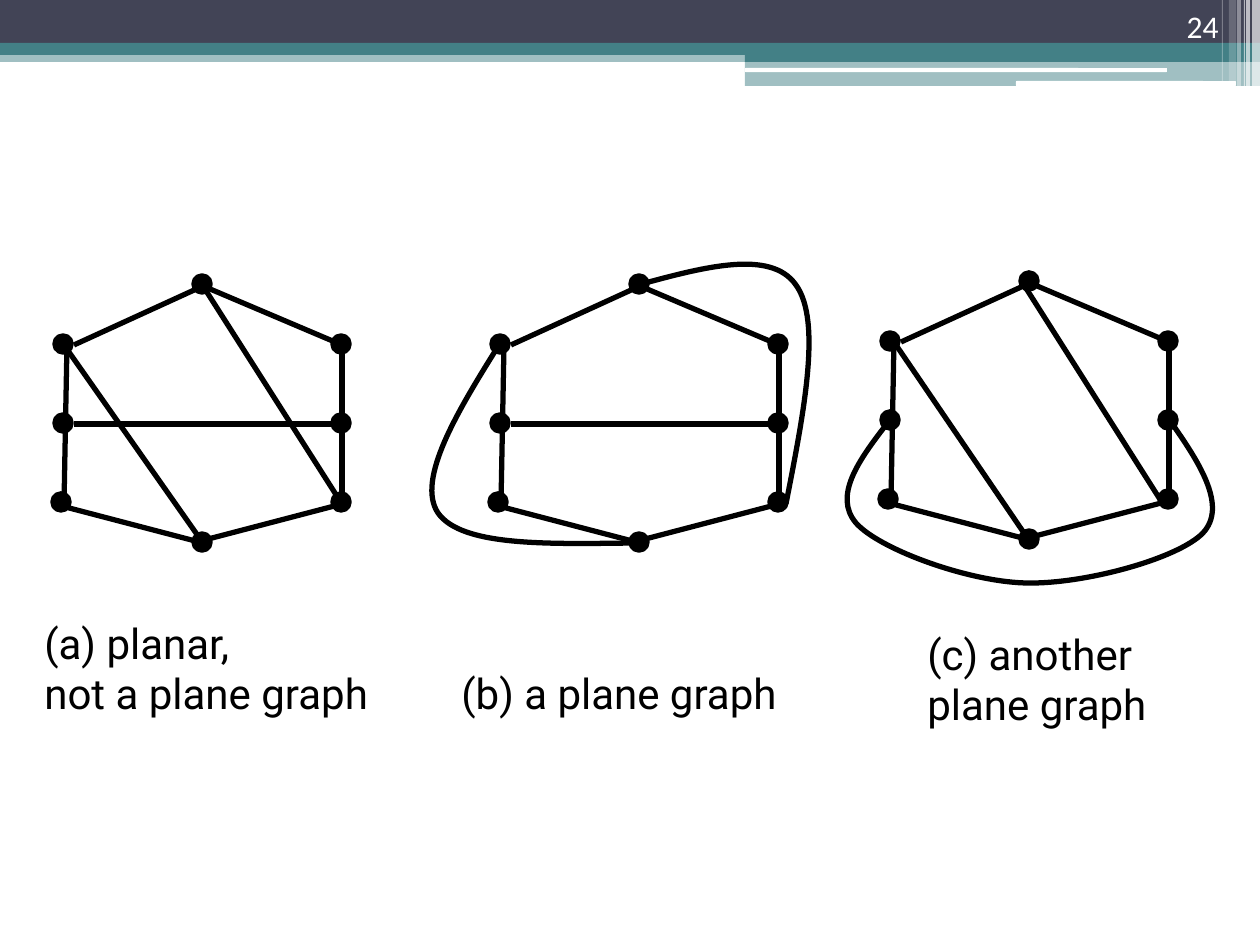
from lxml.etree import SubElement
from pptx import Presentation
from pptx.dml.color import RGBColor
from pptx.enum.shapes import MSO_CONNECTOR, MSO_SHAPE
from pptx.enum.text import MSO_ANCHOR, MSO_AUTO_SIZE, PP_ALIGN
from pptx.oxml.ns import qn
from pptx.util import Pt

PX = 914400 / 126
BLACK, WHITE, TEAL, NAVY = "000000", "FFFFFF", "438086", "424456"

BANDS = [
    (0, 50, 1260, 12, TEAL, 50),
    (0, 0, 1260, 43, NAVY, 100),
    (0, 43, 1260, 12, TEAL, 100),
    (745, 49, 515, 13, TEAL, 100),
    (745, 61, 515, 25, TEAL, 50),
]
RULES = [
    (745, 68, 422, 4, WHITE, 100),
    (1016, 81, 220, 5, WHITE, 100),
]
STRIPES = [
    (1252, 0, 8, 86, WHITE, 65),
    (1246, 0, 4, 86, WHITE, 65),
    (1244, 0, 1, 86, WHITE, 60),
    (1237, 0, 4, 86, WHITE, 40),
    (1229, 0, 7, 81, WHITE, 20),
    (1222, 0, 1, 81, WHITE, 30),
]

DOT = 18
DOTS = [(202, 284), (63, 344), (341, 344), (63, 423), (341, 423),
        (61, 502), (341, 502), (202, 542)]
OUTLINE = [
    (67, 345, 64, 504), (203, 286, 74, 345), (203, 286, 342, 345),
    (54, 504, 203, 543), (342, 504, 193, 543), (342, 345, 342, 504),
]
MIDDLE = (342, 424, 74, 424)

GRAPHS = [
    dict(offset=(0, 0), curves=[],
         chords=[MIDDLE, (64, 345, 203, 543), (203, 286, 342, 504)]),
    dict(offset=(437, 0), chords=[MIDDLE], curves=[
        [(638, 285), (704, 267), (771, 249), (796, 285),
         (822, 321), (804, 412), (786, 504)],
        [(499, 345), (457, 412), (416, 480), (438, 513),
         (462, 547), (549, 544), (638, 543)],
    ]),
    dict(offset=(827, -3), chords=[(69, 348, 197, 536), (197, 288, 336, 507)],
         curves=[
        [(886, 425), (859, 460), (833, 496), (856, 523),
         (879, 549), (966, 581), (1024, 583),
         (1082, 585), (1178, 559), (1203, 533),
         (1227, 507), (1201, 465), (1173, 425)],
    ]),
]

CAPTIONS = [
    (32, 611, 354, 113, "(a) planar, \vnot a plane graph", False),
    (449, 661, 349, 63, "(b) a plane graph", False),
    (915, 622, 267, 113, "(c) another\vplane graph", True),
]
PAGE_NUMBER = (1126, 1, 105, 50, "24", True)


def px(*values):
    return [round(v * PX) for v in values]


def rgb(color):
    return RGBColor.from_string(color)


def add_filled(shapes, kind, x, y, w, h, color, opacity=100):
    sp = shapes.add_shape(kind, *px(x, y, w, h))
    sp.shadow.inherit = False
    sp.fill.solid()
    sp.fill.fore_color.rgb = rgb(color)
    sp.line.fill.background()
    if opacity < 100:
        clr = sp.fill._xPr.find(qn("a:solidFill"))[0]
        SubElement(clr, qn("a:alpha"), val=str(opacity * 1000))
    return sp


def stroke(sp, width):
    sp.line.color.rgb = rgb(BLACK)
    sp.line.width = Pt(width)


def add_edge(shapes, x1, y1, x2, y2):
    line = shapes.add_connector(MSO_CONNECTOR.STRAIGHT, *px(x1, y1, x2, y2))
    stroke(line, 3)
    SubElement(line._element.spPr, qn("a:effectLst"))


def add_curve(shapes, points):
    builder = shapes.build_freeform(*px(*points[0]))
    builder.add_line_segments([px(*point) for point in points[1:]], close=False)
    sp = builder.convert_to_shape()
    outline = next(sp._element.iter(qn("a:path")))
    segments = outline.findall(qn("a:lnTo"))
    for i in range(0, len(segments), 3):
        cubic = SubElement(outline, qn("a:cubicBezTo"))
        for segment in segments[i:i + 3]:
            cubic.append(segment[0])
            outline.remove(segment)
    sp.shadow.inherit = False
    sp.fill.background()
    stroke(sp, 3)


def add_graph(slide, offset, chords, curves):
    shapes = slide.shapes.add_group_shape().shapes
    dx, dy = offset
    for x1, y1, x2, y2 in OUTLINE + chords:
        add_edge(shapes, x1 + dx, y1 + dy, x2 + dx, y2 + dy)
    for x, y in DOTS:
        dot = add_filled(shapes, MSO_SHAPE.OVAL, x + dx - DOT / 2, y + dy - DOT / 2,
                         DOT, DOT, BLACK)
        stroke(dot, 2)
    for points in curves:
        add_curve(shapes, points)


def add_text(slide, x, y, w, h, text, wrap, font, size, color):
    tf = slide.shapes.add_textbox(*px(x, y, w, h)).text_frame
    tf.word_wrap = wrap
    p = tf.paragraphs[0]
    p.text = text
    p.font.name = font
    p.font.size = Pt(size)
    p.font.color.rgb = rgb(color)
    return tf


def main():
    prs = Presentation()
    prs.slide_width, prs.slide_height = px(1260, 945)
    slide = prs.slides.add_slide(prs.slide_layouts[6])

    for kind, bars in ((MSO_SHAPE.RECTANGLE, BANDS),
                       (MSO_SHAPE.ROUNDED_RECTANGLE, RULES),
                       (MSO_SHAPE.RECTANGLE, STRIPES)):
        for bar in bars:
            add_filled(slide.shapes, kind, *bar)
    for graph in GRAPHS:
        add_graph(slide, **graph)
    for caption in CAPTIONS:
        tf = add_text(slide, *caption, "Roboto", 24, BLACK)
        tf.auto_size = MSO_AUTO_SIZE.SHAPE_TO_FIT_TEXT

    tf = add_text(slide, *PAGE_NUMBER, "Calibri", 18, WHITE)
    tf.vertical_anchor = MSO_ANCHOR.BOTTOM
    tf.paragraphs[0].alignment = PP_ALIGN.RIGHT

    prs.save("out.pptx")


if __name__ == "__main__":
    main()
